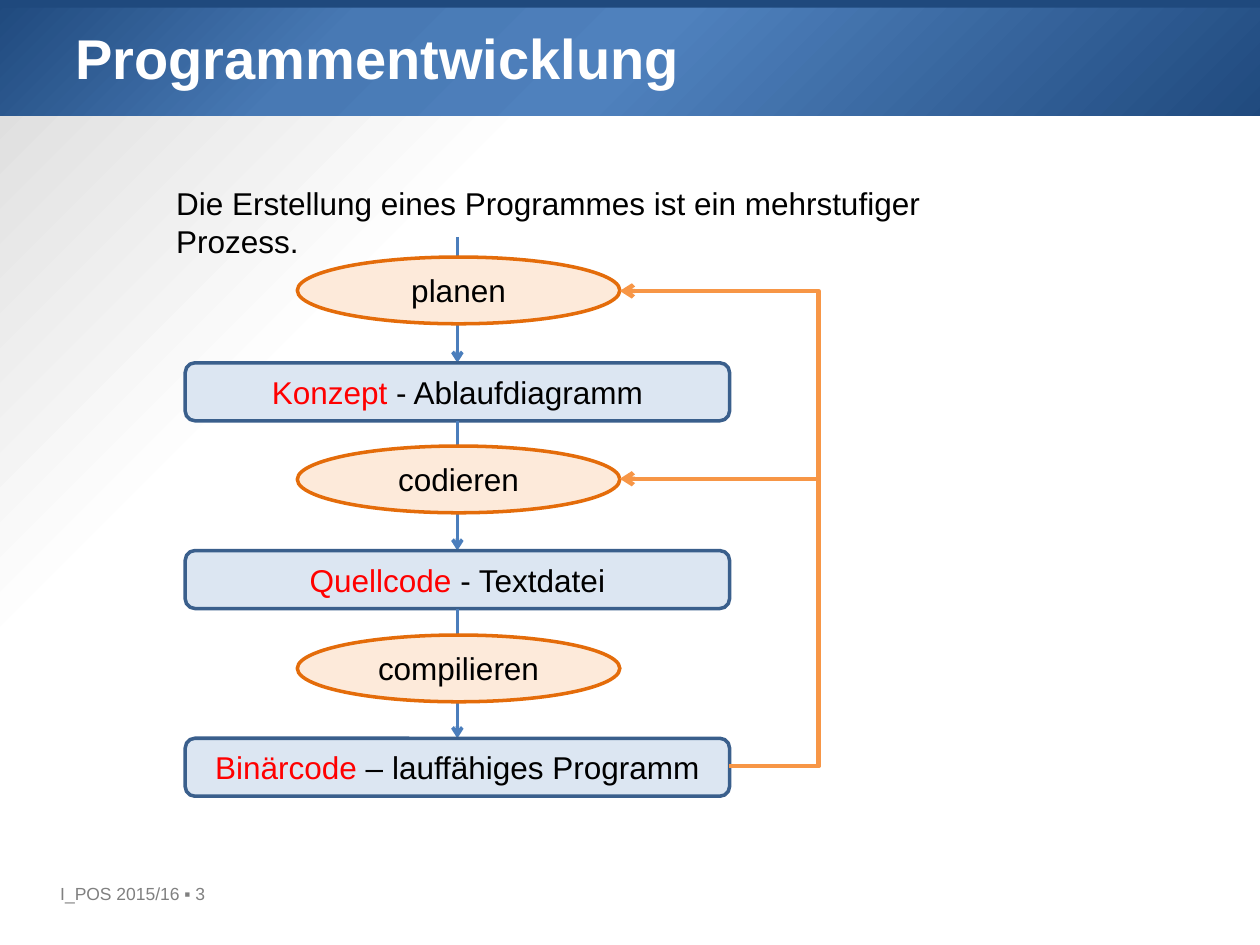
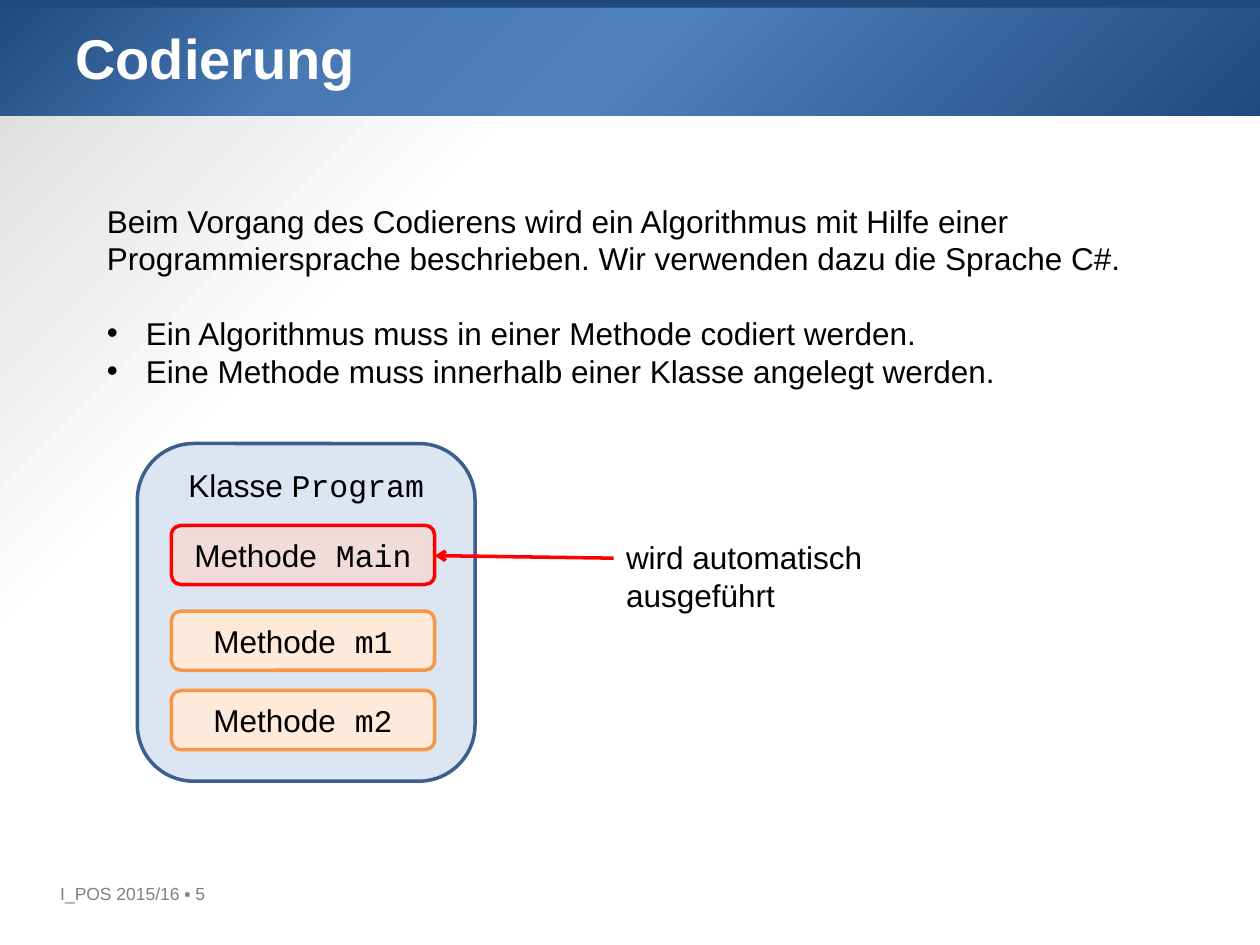
from lxml.etree import SubElement
from pptx import Presentation
from pptx.dml.color import RGBColor
from pptx.enum.shapes import MSO_CONNECTOR, MSO_SHAPE
from pptx.enum.text import MSO_ANCHOR, PP_ALIGN
from pptx.oxml import parse_xml
from pptx.oxml.ns import nsdecls, qn
from pptx.util import Emu, Pt

SCALE = 9144
COLORS = {
    "navy": "1F497D", "steel": "4879B4", "blue": "4F81BD", "arrow": "4B7EBC",
    "edge": "3A5F8C", "pale_blue": "DCE6F2", "pale_orange": "FDEADA",
    "dark_orange": "E46C0A", "orange": "F79646", "pale_red": "F2DCDB",
    "red": "FF0000", "black": "000000", "white": "FFFFFF",
    "light_gray": "D9D9D9", "gray": "808080",
}
BODY = {"name": "Arial", "size": Pt(18), "bold": False}
TITLE = {"size": Pt(32), "bold": True}
FOOTER = {"size": Pt(10)}
CODE = {"name": "Courier New"}


def px(n):
    return Emu(round(n * SCALE))


def rgb(name):
    return RGBColor.from_string(COLORS[name])


class Deck:
    """Holds the shared style and the current slide."""

    def __init__(self):
        self.prs = Presentation()
        self.prs.slide_width, self.prs.slide_height = px(1000), px(750)

    def slide(self, title, number):
        self.s = self.prs.slides.add_slide(self.prs.slide_layouts[6])
        self.s.background.fill.solid()
        self.gradient(self.s._element.find(".//" + qn("p:bgPr")),
                      [(70, "white"), (100, "light_gray")], "lt")
        band = self.shape(MSO_SHAPE.RECTANGLE, (-1, -1, 1012, 93), "navy")
        self.gradient(band._element.spPr,
                      [(0, "navy"), (27, "steel"), (50, "blue"), (100, "navy")], "rb")
        self.shape(MSO_SHAPE.RECTANGLE, (-1, -3, 1012, 9), "navy")
        self.text((38, 696, 186, 26), [[(f"I_POS 2015/16 ▪ {number}", "gray", FOOTER)]])
        self.text((50, 14, 900, 125), [[(title, "white", TITLE)]])

    def gradient(self, parent, stops, sides):
        gs = "".join(f'<a:gs pos="{pos * 1000}"><a:srgbClr val="{COLORS[c]}"/></a:gs>'
                     for pos, c in stops)
        rect = " ".join(f'{side}="100000"' for side in sides)
        fill = parse_xml(f'<a:gradFill {nsdecls("a")} rotWithShape="1"><a:gsLst>{gs}</a:gsLst>'
                         f'<a:path path="circle"><a:fillToRect {rect}/></a:path></a:gradFill>')
        parent.replace(parent.find(qn("a:solidFill")), fill)

    def fill_text(self, tf, paragraphs, align=PP_ALIGN.LEFT):
        tf.word_wrap = True
        for i, runs in enumerate(paragraphs):
            p = tf.add_paragraph() if i else tf.paragraphs[0]
            p.alignment = align
            for text, color, style in runs:
                r = p.add_run()
                r.text = text
                for key, value in {**BODY, **style}.items():
                    setattr(r.font, key, value)
                r.font.color.rgb = rgb(color)

    def text(self, box, paragraphs):
        tf = self.s.shapes.add_textbox(*map(px, box)).text_frame
        self.fill_text(tf, paragraphs)
        return tf

    def bullet(self, p):
        pPr = p._p.get_or_add_pPr()
        pPr.set("marL", str(px(31)))
        pPr.set("indent", str(-px(31)))
        SubElement(pPr, qn("a:buFont")).set("typeface", "Arial")
        SubElement(pPr, qn("a:buChar")).set("char", "•")

    def shape(self, kind, box, fill, line=None, runs=None, anchor=MSO_ANCHOR.MIDDLE):
        sp = self.s.shapes.add_shape(kind, *map(px, box))
        sp.shadow.inherit = False
        sp.fill.solid()
        sp.fill.fore_color.rgb = rgb(fill)
        if line:
            sp.line.color.rgb = rgb(line)
            sp.line.width = Pt(2)
        else:
            sp.line.fill.background()
        if runs:
            sp.text_frame.vertical_anchor = anchor
            self.fill_text(sp.text_frame, [runs], PP_ALIGN.CENTER)
        return sp

    def arrow(self, start, end, color, width=2, bend=None):
        kind = MSO_CONNECTOR.ELBOW if bend else MSO_CONNECTOR.STRAIGHT
        cx = self.s.shapes.add_connector(kind, *map(px, start + end))
        cx.line.color.rgb = rgb(color)
        cx.line.width = Pt(width)
        spPr = cx._element.spPr
        SubElement(spPr.find(qn("a:ln")), qn("a:tailEnd")).set("type", "arrow")
        SubElement(spPr, qn("a:effectLst"))
        if bend:
            gd = SubElement(spPr.find(".//" + qn("a:avLst")), qn("a:gd"))
            gd.set("name", "adj1")
            gd.set("fmla", f"val {bend}")


def development(d):
    d.slide("Programmentwicklung", 3)
    d.text((130, 141, 650, 40), [[
        ("Die Erstellung eines Programmes ist ein mehrstufiger Prozess.", "black", {})]])
    steps = [
        ("planen", "Konzept", " - Ablaufdiagramm"),
        ("codieren", "Quellcode", " - Textdatei"),
        ("compilieren", "Binärcode", " – lauffähiges Programm"),
    ]
    start = 188
    for i, (action, result, detail) in enumerate(steps):
        top = 288 + 149 * i
        d.arrow((363, start), (363, top), "arrow")
        d.shape(MSO_SHAPE.ROUNDED_RECTANGLE, (147, top, 432, 46), "pale_blue", "edge",
                [(result, "red", {}), (detail, "black", {})])
        d.shape(MSO_SHAPE.OVAL, (236, 204 + 150 * i, 256, 53), "pale_orange", "dark_orange",
                [(action, "black", {})])
        start = top + 46
    for y in (380, 231):
        d.arrow((579, 608), (492, y), "orange", 2.5, bend=-81100)


def coding(d):
    d.slide("Codierung", 5)
    lines = [
        "Beim Vorgang des Codierens wird ein Algorithmus mit Hilfe einer "
        "Programmiersprache beschrieben. Wir verwenden dazu die Sprache C#.",
        "Ein Algorithmus muss in einer Methode codiert werden.",
        "Eine Methode muss innerhalb einer Klasse angelegt werden.",
    ]
    tf = d.text((75, 155, 832, 162), [[(line, "black", {})] for line in lines])
    for p in tf.paragraphs[1:]:
        d.bullet(p)
    tf.paragraphs[1].space_before = Pt(21)
    d.shape(MSO_SHAPE.ROUNDED_RECTANGLE, (109, 352, 268, 268), "pale_blue", "edge",
            [("Klasse ", "black", {}), ("Program", "black", CODE)], MSO_ANCHOR.TOP)
    methods = [
        ("Main", 417, "pale_red", "red"),
        ("m1", 485, "pale_orange", "orange"),
        ("m2", 548, "pale_orange", "orange"),
    ]
    for name, top, fill, line in methods:
        d.shape(MSO_SHAPE.ROUNDED_RECTANGLE, (136, top, 209, 47), fill, line,
                [("Methode", "black", {}), (f" {name}", "black", CODE)])
    d.arrow((487, 443), (345, 441), "red")
    d.text((487, 422, 315, 40), [[("wird automatisch ausgeführt", "black", {})]])


def main():
    d = Deck()
    development(d)
    coding(d)
    d.prs.save("out.pptx")


if __name__ == "__main__":
    main()
